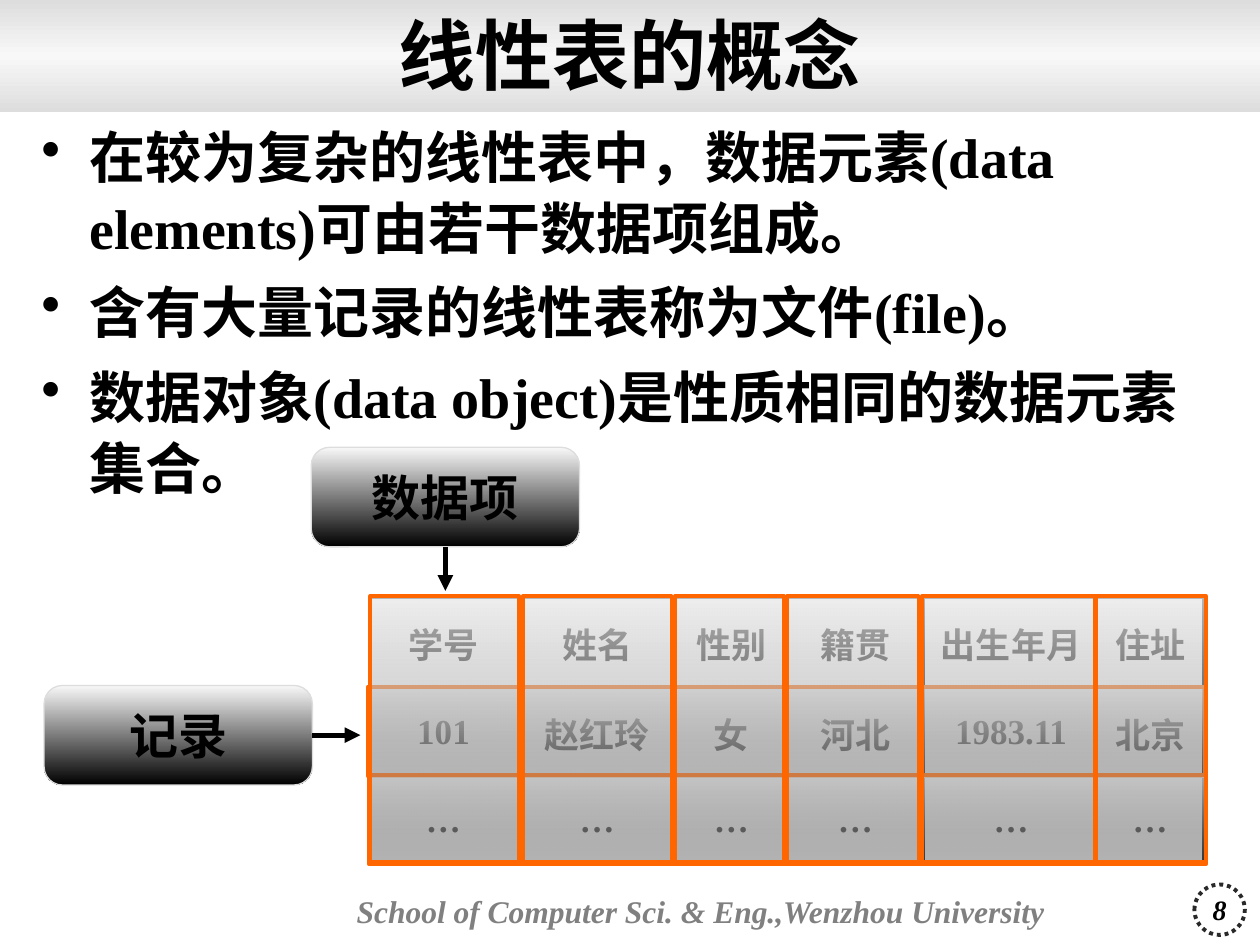
from dataclasses import dataclass

from pptx import Presentation
from pptx.dml.color import RGBColor
from pptx.enum.dml import MSO_LINE
from pptx.enum.shapes import MSO_CONNECTOR, MSO_SHAPE
from pptx.enum.text import MSO_ANCHOR, MSO_AUTO_SIZE, PP_ALIGN
from pptx.oxml import parse_xml
from pptx.oxml.ns import nsdecls, qn
from pptx.util import Emu, Inches, Pt


@dataclass(frozen=True)
class Theme:
    serif: str = "Times New Roman"
    sans: str = "Arial"
    ink: str = "000000"
    muted: str = "808080"
    ring: str = "292929"
    edge: str = "DDDDDD"
    accent: str = "FF6600"
    # Gradient stops from top to bottom: position, colour, opacity in percent
    banner: tuple = ((0, "DDDDDD", 100), (50, "F8F8F8", 100), (100, "DDDDDD", 100))
    label: tuple = ((0, "F8F8F8", 100), (100, "000000", 100))
    veil: tuple = ((0, "EAEAEA", 79), (100, "6B6B6B", 29))
    title_size: float = 44
    body_size: float = 32
    label_size: float = 28
    table_size: float = 20
    footer_size: float = 18
    number_size: float = 16


class SlideBuilder:
    """Places elements on a grid of 100 columns and 75 rows."""

    COLUMNS, ROWS = 100, 75
    BOTTOM, RIGHT = 2, 3

    def __init__(self, deck, theme):
        self.theme = theme
        self.column = deck.slide_width / self.COLUMNS
        self.row = deck.slide_height / self.ROWS
        self.page = deck.slides.add_slide(deck.slide_layouts[5])

    def across(self, columns):
        return Emu(round(columns * self.column))

    def down(self, rows):
        return Emu(round(rows * self.row))

    def frame(self, left, top, width, height):
        return self.across(left), self.down(top), self.across(width), self.down(height)

    def add_span(self, para, text, size, font=None, color=None, italic=False):
        span = para.add_run()
        span.text = text
        span.font.name = font or self.theme.serif
        span.font.size = Pt(size)
        span.font.bold = True
        span.font.italic = italic
        span.font.color.rgb = RGBColor.from_string(color or self.theme.ink)

    def prepare(self, text_frame, side=0.1, edge=0.05, anchor=MSO_ANCHOR.MIDDLE, wrap=True):
        text_frame.word_wrap = wrap
        text_frame.auto_size = MSO_AUTO_SIZE.NONE
        text_frame.vertical_anchor = anchor
        text_frame.margin_left = text_frame.margin_right = Inches(side)
        text_frame.margin_top = text_frame.margin_bottom = Inches(edge)
        return text_frame.paragraphs[0]

    def shape(self, kind, place, stops=None, line=None, width=0.75):
        shape = self.page.shapes.add_shape(kind, *self.frame(*place))
        shape.shadow.inherit = False
        if stops:
            shape.fill.gradient()
            shape.fill.gradient_angle = 270
            stop_list = shape._element.spPr.find(qn("a:gradFill")).find(qn("a:gsLst"))
            for old in list(stop_list):
                stop_list.remove(old)
            for position, color, opacity in stops:
                stop_list.append(parse_xml(
                    f'<a:gs {nsdecls("a")} pos="{position * 1000}"><a:srgbClr val="{color}">'
                    f'<a:alpha val="{opacity * 1000}"/></a:srgbClr></a:gs>'))
        else:
            shape.fill.background()
        if line:
            shape.line.color.rgb = RGBColor.from_string(line)
            shape.line.width = Pt(width)
        else:
            shape.line.fill.background()
        return shape

    def title(self, text, place):
        title = self.page.shapes.title
        title.left, title.top, title.width, title.height = self.frame(*place)
        para = self.prepare(title.text_frame)
        para.alignment = PP_ALIGN.CENTER
        self.add_span(para, text, self.theme.title_size)
        self.page.shapes._spTree.append(title._element)  # above the banner

    def bullets(self, texts, place):
        box = self.page.shapes.add_textbox(*self.frame(*place))
        self.prepare(box.text_frame, anchor=MSO_ANCHOR.TOP)
        for index, text in enumerate(texts):
            para = box.text_frame.add_paragraph() if index else box.text_frame.paragraphs[0]
            properties = para._p.get_or_add_pPr()
            properties.set("marL", str(Inches(0.38)))
            properties.set("indent", str(-Inches(0.38)))
            properties.append(parse_xml(f'<a:buChar {nsdecls("a")} char="•"/>'))
            para.line_spacing = 1.05
            para.space_before = Pt(8 if index else 0)
            self.add_span(para, text, self.theme.body_size)

    def footer(self, text, place):
        box = self.page.shapes.add_textbox(*self.frame(*place))
        para = self.prepare(box.text_frame, 0.05, 0.02)
        self.add_span(para, text, self.theme.footer_size, color=self.theme.muted, italic=True)

    def page_number(self, text, place):
        ring = self.shape(MSO_SHAPE.OVAL, place, line=self.theme.ring, width=2.25)
        ring.line.dash_style = MSO_LINE.ROUND_DOT
        para = self.prepare(ring.text_frame, wrap=False)
        para.alignment = PP_ALIGN.CENTER
        self.add_span(para, text, self.theme.number_size, italic=True)

    def label(self, text, place):
        box = self.shape(MSO_SHAPE.ROUNDED_RECTANGLE, place, self.theme.label, self.theme.edge)
        box.adjustments[0] = 0.185
        para = self.prepare(box.text_frame, 0.05, 0.02, wrap=False)
        para.alignment = PP_ALIGN.CENTER
        self.add_span(para, text, self.theme.label_size, self.theme.sans)
        return box

    def arrow(self, box, side, length):
        if side == self.BOTTOM:
            x, y = box.left + box.width // 2, box.top + box.height
            end = x, y + self.down(length)
        else:
            x, y = box.left + box.width, box.top + box.height // 2
            end = x + self.across(length), y
        arrow = self.page.shapes.add_connector(MSO_CONNECTOR.STRAIGHT, x, y, *end)
        arrow.begin_connect(box, side)
        arrow.line.color.rgb = RGBColor.from_string(self.theme.ink)
        arrow.line.width = Pt(3)
        properties = arrow._element.spPr
        properties.find(qn("a:ln")).append(
            parse_xml(f'<a:tailEnd {nsdecls("a")} type="triangle"/>'))
        properties.append(parse_xml(f'<a:effectLst {nsdecls("a")}/>'))

    def table(self, records, place, widths, heights):
        table = self.page.shapes.add_table(len(records), len(widths), *self.frame(*place)).table
        table.first_row = table.horz_banding = False
        for column, width in zip(table.columns, widths):
            column.width = self.across(width)
        for row, height in zip(table.rows, heights):
            row.height = self.down(height)
        last_row, last_column = len(records) - 1, len(widths) - 1
        for r, record in enumerate(records):
            for c, text in enumerate(record):
                cell = table.cell(r, c)
                cell.fill.background()
                cell.vertical_anchor = MSO_ANCHOR.MIDDLE
                para = cell.text_frame.paragraphs[0]
                para.alignment = PP_ALIGN.CENTER
                self.add_span(para, text, self.theme.table_size)
                outer = {"L": c == 0, "R": c == last_column, "T": r == 0, "B": r == last_row}
                self.borders(cell, outer)

    def borders(self, cell, outer):
        properties = cell._tc.get_or_add_tcPr()
        for index, (side, is_outer) in enumerate(outer.items()):
            width = Pt(1.08 if is_outer else 0.45)
            properties.insert(index, parse_xml(
                f'<a:ln{side} {nsdecls("a")} w="{width}"><a:solidFill>'
                f'<a:srgbClr val="{self.theme.ink}"/></a:solidFill></a:ln{side}>'))

    def veil(self, *place):
        self.shape(MSO_SHAPE.RECTANGLE, place, self.theme.veil, self.theme.accent, 2.25)


def main():
    deck = Presentation()
    deck.slide_width, deck.slide_height = Inches(10), Inches(7.5)
    slide = SlideBuilder(deck, Theme())

    # Banner, footer and title
    slide.shape(MSO_SHAPE.RECTANGLE, (0, 0, 100, 8.9), slide.theme.banner)
    slide.footer("School of Computer Sci. & Eng.,Wenzhou University", (27.8, 69, 59.9, 6.6))
    slide.page_number("8", (94.8, 70.2, 4, 4))
    slide.title("线性表的概念", (0, -0.2, 100, 9))

    # Explanation
    slide.bullets([
        "在较为复杂的线性表中，数据元素(data elements)可由若干数据项组成。",
        "含有大量记录的线性表称为文件(file)。",
        "数据对象(data object)是性质相同的数据元素集合。",
    ], (2.3, 9, 95, 59.6))

    # Student records
    records = [
        ["学号", "姓名", "性别", "籍贯", "出生年月", "住址"],
        ["101", "赵红玲", "女", "河北", "1983.11", "北京"],
        ["…"] * 6,
    ]
    slide.table(records, (29.3, 47.5, 66.1, 21),
                widths=[11.8, 12.6, 8.7, 11, 13.7, 8.4], heights=[7.1, 7.1, 6.8])

    # Labels pointing at a column and a row
    item = slide.label("数据项", (24.7, 35.5, 21.3, 7.9))
    slide.arrow(item, slide.BOTTOM, 3.5)
    record = slide.label("记录", (3.5, 54.4, 21.3, 7.9))
    slide.arrow(record, slide.RIGHT, 3.8)

    # Translucent frames over the rows, then over the columns
    for left, top in [(29.2, 54.5), (29.3, 61.5)]:
        slide.veil(left, top, 66.4, 7.1)
    for left, width in [(29.4, 11.8), (41.5, 11.8), (53.6, 8.6),
                        (62.5, 10.4), (73.2, 13.7), (87, 8.7)]:
        slide.veil(left, 47.3, width, 21.1)

    deck.save("out.pptx")


if __name__ == "__main__":
    main()
